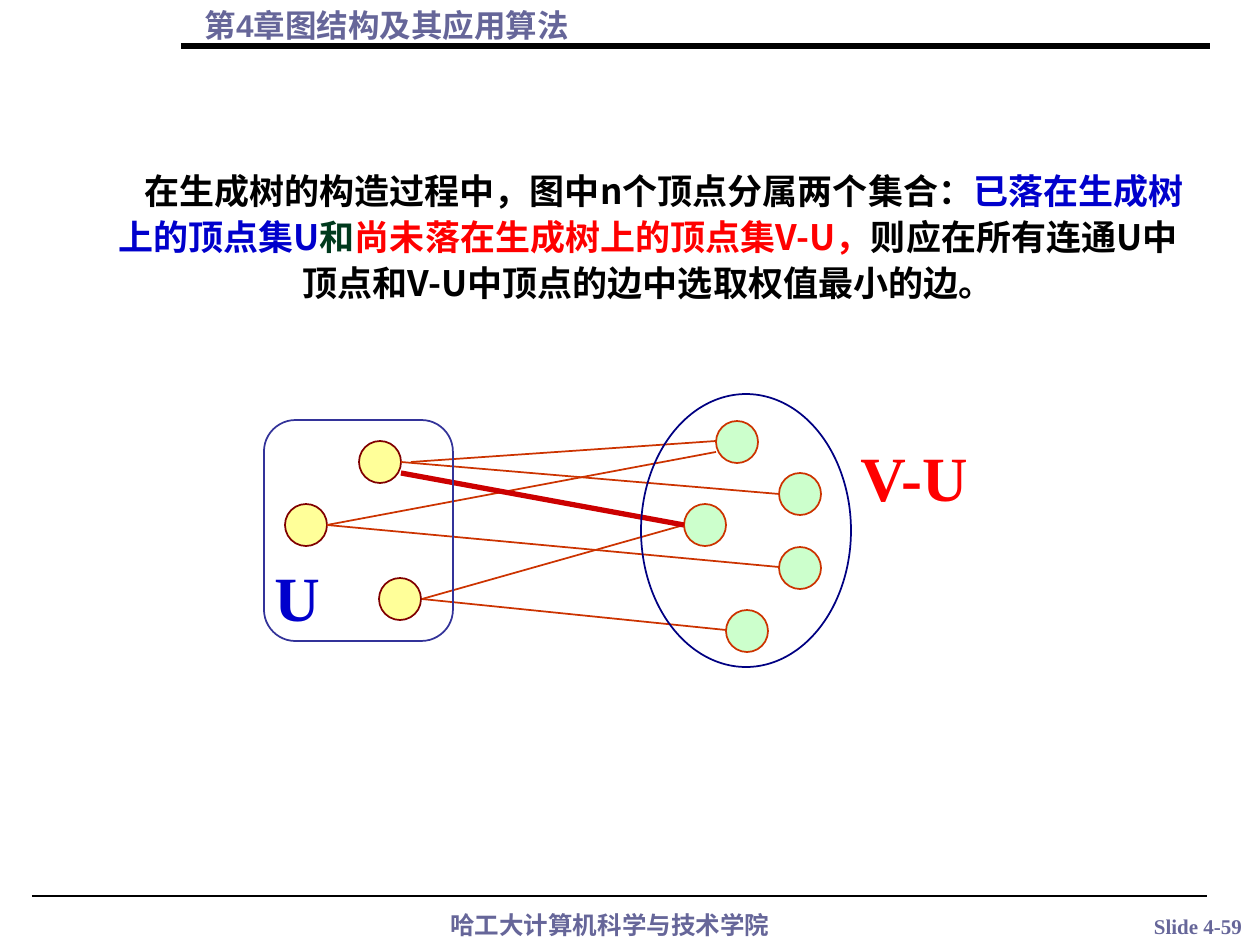
from lxml.etree import SubElement
from pptx import Presentation
from pptx.dml.color import RGBColor
from pptx.enum.shapes import MSO_CONNECTOR, MSO_SHAPE
from pptx.enum.text import MSO_ANCHOR, MSO_AUTO_SIZE, PP_ALIGN
from pptx.oxml.ns import qn
from pptx.util import Emu, Pt

COLORS = {
    "black": "000000",
    "slate": "666699",
    "blue": "0000CC",
    "navy": "000082",
    "indigo": "333399",
    "green": "003A1D",
    "red": "FF0000",
    "yellow_node": "FFFF99",
    "maroon": "800000",
    "green_node": "CCFFCC",
    "rust": "CC3300",
    "crimson": "CC0000",
}
CJK_FONT = "Noto Sans CJK SC"
SERIF_FONT = "Times New Roman"
NODE_SIZE = 42

TREE_NODES = [(359, 441), (285, 504), (379, 578)]
OUTSIDE_NODES = [(716, 421), (779, 473), (726, 610), (684, 504), (779, 547)]
EDGES = [
    ((411, 462), (716, 441)),
    ((327, 525), (779, 567)),
    ((422, 599), (726, 630)),
    ((422, 599), (684, 525)),
    ((401, 462), (779, 494)),
    ((327, 525), (716, 452)),
]
LIGHTEST_EDGE = ((401, 473), (684, 525))
STATEMENT = [
    ("在生成树的构造过程中，图中n个顶点分属两个集合：", "black"),
    ("已落在生成树上的顶点集U", "blue"),
    ("和", "green"),
    ("尚未落在生成树上的顶点集V-U，", "red"),
    ("则应在所有连通U中顶点和V-U中顶点的边中选取权值最小的边。", "black"),
]


def px(value):
    return Emu(round(value * 914400 / 126))


def color(name):
    return RGBColor.from_string(COLORS[name])


def format_text(shape, font_name, size, color_name, align=PP_ALIGN.CENTER, wrap=True):
    frame = shape.text_frame
    frame.auto_size = MSO_AUTO_SIZE.NONE
    frame.word_wrap = wrap
    frame.vertical_anchor = MSO_ANCHOR.MIDDLE
    paragraph = frame.paragraphs[0]
    paragraph.alignment = align
    font = paragraph.font
    font.name = font_name
    font.size = Pt(size)
    font.bold = True
    font.color.rgb = color(color_name)
    properties = paragraph._p.pPr.find(qn("a:defRPr"))
    SubElement(properties, qn("a:ea")).set("typeface", CJK_FONT)
    return paragraph


def add_label(shapes, text, box, font_name, size, color_name, wrap=True):
    label = shapes.add_textbox(*map(px, box))
    label.text_frame.text = text
    return format_text(label, font_name, size, color_name, wrap=wrap)


def add_heading(slide, text):
    title = slide.shapes.title
    title.left, title.top, title.width, title.height = map(px, (192, 0, 1012, 50))
    title.text_frame.text = text
    format_text(title, "Arial", 18, "slate", PP_ALIGN.LEFT)


def add_statement(slide):
    paragraph = add_label(slide.shapes, "", (89, 159, 1118, 151), CJK_FONT, 20, "black")
    paragraph.line_spacing = 1.1
    paragraph._p.pPr.set("indent", str(px(32)))
    for text, color_name in STATEMENT:
        run = paragraph.add_run()
        run.text = text
        run.font.color.rgb = color(color_name)


def add_line(shapes, start, end, color_name, width):
    line = shapes.add_connector(
        MSO_CONNECTOR.STRAIGHT, *map(px, (*start, *end))
    )
    line.line.color.rgb = color(color_name)
    line.line.width = Pt(width)
    SubElement(line._element.spPr, qn("a:effectLst"))


def add_outline(shapes, kind, box, line_color, fill_color=None):
    shape = shapes.add_shape(kind, *map(px, box))
    shape.shadow.inherit = False
    if fill_color:
        shape.fill.solid()
        shape.fill.fore_color.rgb = color(fill_color)
    else:
        shape.fill.background()
    shape.line.color.rgb = color(line_color)
    shape.line.width = Pt(1)


def add_nodes(shapes, corners, line_color, fill_color):
    for left, top in corners:
        box = (left, top, NODE_SIZE, NODE_SIZE)
        add_outline(shapes, MSO_SHAPE.OVAL, box, line_color, fill_color)


def add_graph(slide):
    shapes = slide.shapes.add_group_shape().shapes
    add_nodes(shapes, TREE_NODES, "maroon", "yellow_node")
    add_nodes(shapes, OUTSIDE_NODES, "rust", "green_node")
    for start, end in EDGES:
        add_line(shapes, start, end, "rust", 1)
    add_line(shapes, *LIGHTEST_EDGE, "crimson", 3)
    add_outline(shapes, MSO_SHAPE.ROUNDED_RECTANGLE, (264, 420, 189, 221), "indigo")
    add_label(shapes, "U", (262, 552, 70, 88), SERIF_FONT, 36, "blue", wrap=False)
    add_outline(shapes, MSO_SHAPE.OVAL, (641, 394, 210, 273), "navy")
    add_label(shapes, "V-U", (840, 432, 148, 88), SERIF_FONT, 36, "red")


def main():
    presentation = Presentation()
    presentation.slide_width = px(1260)
    presentation.slide_height = px(945)
    slide = presentation.slides.add_slide(presentation.slide_layouts[5])
    shapes = slide.shapes

    add_label(shapes, "哈工大计算机科学与技术学院", (383, 903, 454, 43), CJK_FONT, 14, "slate")
    add_label(shapes, "Slide 4-59", (1105, 907, 186, 38), SERIF_FONT, 12, "slate", wrap=False)
    add_heading(slide, "第4章图结构及其应用算法")
    add_line(shapes, (181, 46), (1210, 46), "black", 3)
    add_line(shapes, (32, 896), (1207, 896), "black", 0.75)
    add_statement(slide)
    add_graph(slide)
    presentation.save("out.pptx")


if __name__ == "__main__":
    main()
